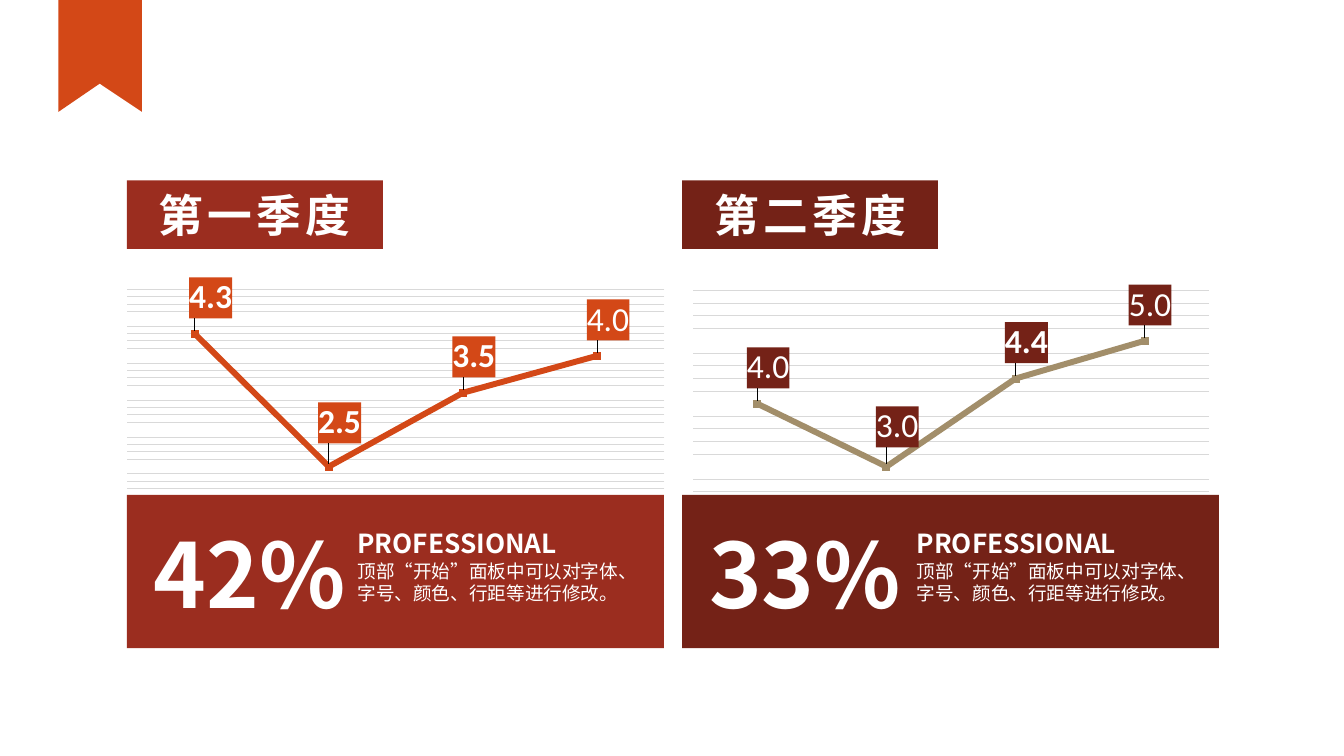
import pptx
import pptx.util
import pptx.chart.data
import pptx.enum.chart
import pptx.enum.shapes
import pptx.enum.text
import pptx.dml.color
import pptx.oxml
import pptx.oxml.ns

Inches, Pt = pptx.util.Inches, pptx.util.Pt
COLORS = {
    "white": "FFFFFF", "orange": "D34817", "rust": "9E3611", "red": "9B2D1F",
    "maroon": "742217", "tan": "A28E6A", "olive": "7C6B4D", "grid": "D9D9D9",
}
FONT, CHART_FONT = "Noto Sans CJK SC", "Calibri"
PANEL_WIDTH = 5.33
ADVICE = "顶部“开始”面板中可以对字体、字号、颜色、行距等进行修改。"

# Label shifts are shares of the chart's width and height.
QUARTERS = [
    dict(title="第一季度", left=1.26, text_left=3.45, percent="42%", panel="red",
         values=(4.3, 2.5, 3.5, 4.0), line="orange", marker="rust", label="orange",
         plain=(3,), maximum=5, major=0.5, minor=0.1, plot=(0, 0.03, 1, 0.94),
         shifts=((0.03, -0.02), (0.02, -0.04), (0.02, -0.02), (0.02, -0.02))),
    dict(title="第二季度", left=6.77, text_left=9, percent="33%", panel="maroon",
         values=(4.0, 3.0, 4.4, 5.0), line="tan", marker="olive", label="maroon",
         plain=(0, 1, 3), maximum=6, major=1, minor=0.2, plot=(0.02, 0.02, 0.96, 0.96),
         shifts=((0.02, -0.02), (0.02, -0.03), (0.02, -0.02), (0.01, -0.02))),
]


def color(name):
    return pptx.dml.color.RGBColor.from_string(COLORS[name])


def paint(shape, name):
    shape.shadow.inherit = False
    shape.fill.solid()
    shape.fill.fore_color.rgb = color(name)
    shape.line.fill.background()


def style_text(frame, size, bold=True, spacing=0):
    for span in frame.paragraphs[0].runs:
        span.font.size, span.font.bold, span.font.name = Pt(size), bold, FONT
        span.font.color.rgb = color("white")
        properties = span.font._element
        if spacing:
            properties.set("spc", str(spacing * 100))
        east_asian = properties.makeelement(pptx.oxml.ns.qn("a:ea"), {"typeface": FONT})
        properties.find(pptx.oxml.ns.qn("a:latin")).addnext(east_asian)


def add_block(page, left, top, width, height, name):
    block = page.shapes.add_shape(
        pptx.enum.shapes.MSO_SHAPE.RECTANGLE,
        Inches(left), Inches(top), Inches(width), Inches(height))
    paint(block, name)
    return block


def add_text(page, left, top, width, height, text, size, bold=True, wrap=False):
    box = page.shapes.add_textbox(Inches(left), Inches(top), Inches(width), Inches(height))
    frame = box.text_frame
    frame.text = text
    frame.word_wrap = wrap
    frame.auto_size = pptx.enum.text.MSO_AUTO_SIZE.SHAPE_TO_FIT_TEXT
    style_text(frame, size, bold)
    return frame.paragraphs[0]


def add_ribbon(page):
    builder = page.shapes.build_freeform(Inches(0.58), 0)
    corners = [(1.41, 0), (1.41, 1.11), (0.99, 0.83), (0.58, 1.11)]
    builder.add_line_segments([(Inches(x), Inches(y)) for x, y in corners], close=True)
    paint(builder.convert_to_shape(), "orange")


def chart_xml(markup):
    return pptx.oxml.parse_xml(markup.replace(
        ">", " " + pptx.oxml.ns.nsdecls("c", "a") + ">", 1))


def solid_xml(name):
    return f'<a:solidFill><a:srgbClr val="{COLORS[name]}"/></a:solidFill>'


def layout_xml(inner="", **places):
    tags = "".join(f'<c:{tag} val="{value}"/>' for tag, value in places.items())
    return chart_xml(f"<c:layout><c:manualLayout>{inner}{tags}</c:manualLayout></c:layout>")


def set_plot_area(chart, x, y, w, h):
    area = chart._chartSpace.chart.plotArea
    for old in area.findall(pptx.oxml.ns.qn("c:layout")):
        area.remove(old)
    inner = '<c:layoutTarget val="inner"/><c:xMode val="edge"/><c:yMode val="edge"/>'
    area.insert(0, layout_xml(inner, x=x, y=y, w=w, h=h))


def style_axes(chart, quarter):
    axis = chart.value_axis
    axis.minimum_scale, axis.maximum_scale = 0, quarter["maximum"]
    axis.major_unit, axis.minor_unit = quarter["major"], quarter["minor"]
    axis.has_major_gridlines, axis.has_minor_gridlines = False, True
    gridlines = axis._element.find(pptx.oxml.ns.qn("c:minorGridlines"))
    gridlines.append(chart_xml(
        f'<c:spPr><a:ln w="{Pt(0.75)}">{solid_xml("grid")}</a:ln></c:spPr>'))
    axis.visible = chart.category_axis.visible = False


def style_label(series, index, quarter):
    label = series.points[index].data_label
    font = label.font
    font.size, font.name, font.bold = Pt(24), CHART_FONT, index not in quarter["plain"]
    font.color.rgb = color("white")
    label.position = pptx.enum.chart.XL_LABEL_POSITION.ABOVE
    element = label._dLbl
    x, y = quarter["shifts"][index]
    element.find(pptx.oxml.ns.qn("c:idx")).addnext(layout_xml(x=x, y=y))
    for old in element.findall(pptx.oxml.ns.qn("c:spPr")):
        element.remove(old)
    text = element.find(pptx.oxml.ns.qn("c:txPr"))
    text.addprevious(chart_xml('<c:numFmt formatCode="0.0" sourceLinked="0"></c:numFmt>'))
    text.addprevious(chart_xml(f'<c:spPr>{solid_xml(quarter["label"])}</c:spPr>'))


def add_line_chart(page, quarter):
    data = pptx.chart.data.CategoryChartData(number_format="0.0")
    data.categories = ["1", "2", "3", "4"]
    data.add_series("Series 1", quarter["values"])
    chart = page.shapes.add_chart(
        pptx.enum.chart.XL_CHART_TYPE.LINE_MARKERS, Inches(quarter["left"]),
        Inches(2.68), Inches(5.34), Inches(3.9), data).chart
    chart.has_legend = chart.has_title = False
    chart.font.size, chart.font.name = Pt(10), CHART_FONT
    style_axes(chart, quarter)
    set_plot_area(chart, *quarter["plot"])
    chart.plots[0].vary_by_categories = False
    series = chart.plots[0].series[0]
    series.smooth = False
    series.format.line.color.rgb = color(quarter["line"])
    series.format.line.width = Pt(4.25)
    marker = series.marker
    marker.style, marker.size = pptx.enum.chart.XL_MARKER_STYLE.SQUARE, 5
    marker.format.fill.solid()
    marker.format.fill.fore_color.rgb = color(quarter["marker"])
    marker.format.line.fill.background()
    for index in range(len(quarter["values"])):
        style_label(series, index, quarter)


def add_quarter(page, quarter):
    left, text_left = quarter["left"], quarter["text_left"]
    add_line_chart(page, quarter)

    # Panel covering the lower part of the chart
    add_block(page, left, 4.91, PANEL_WIDTH, 1.52, quarter["panel"])
    add_text(page, left + 0.17, 5.1, 2.15, 1.18, quarter["percent"], 64)
    add_text(page, text_left, 5.18, 2.24, 0.42, "PROFESSIONAL", 18.7)
    advice = add_text(page, text_left, 5.5, 3.07, 0.55, ADVICE, 13.3, bold=False, wrap=True)
    advice.line_spacing = Pt(16)

    # Heading
    frame = add_block(page, left, 1.79, 2.54, 0.68, quarter["panel"]).text_frame
    frame.text = quarter["title"]
    frame.vertical_anchor = pptx.enum.text.MSO_ANCHOR.MIDDLE
    frame.paragraphs[0].alignment = pptx.enum.text.PP_ALIGN.CENTER
    style_text(frame, 32, spacing=3)


def main():
    deck = pptx.Presentation()
    deck.slide_width, deck.slide_height = Inches(13.34), Inches(7.5)
    page = deck.slides.add_slide(deck.slide_layouts[6])
    add_ribbon(page)
    for quarter in QUARTERS:
        add_quarter(page, quarter)
    deck.save("out.pptx")


main()
